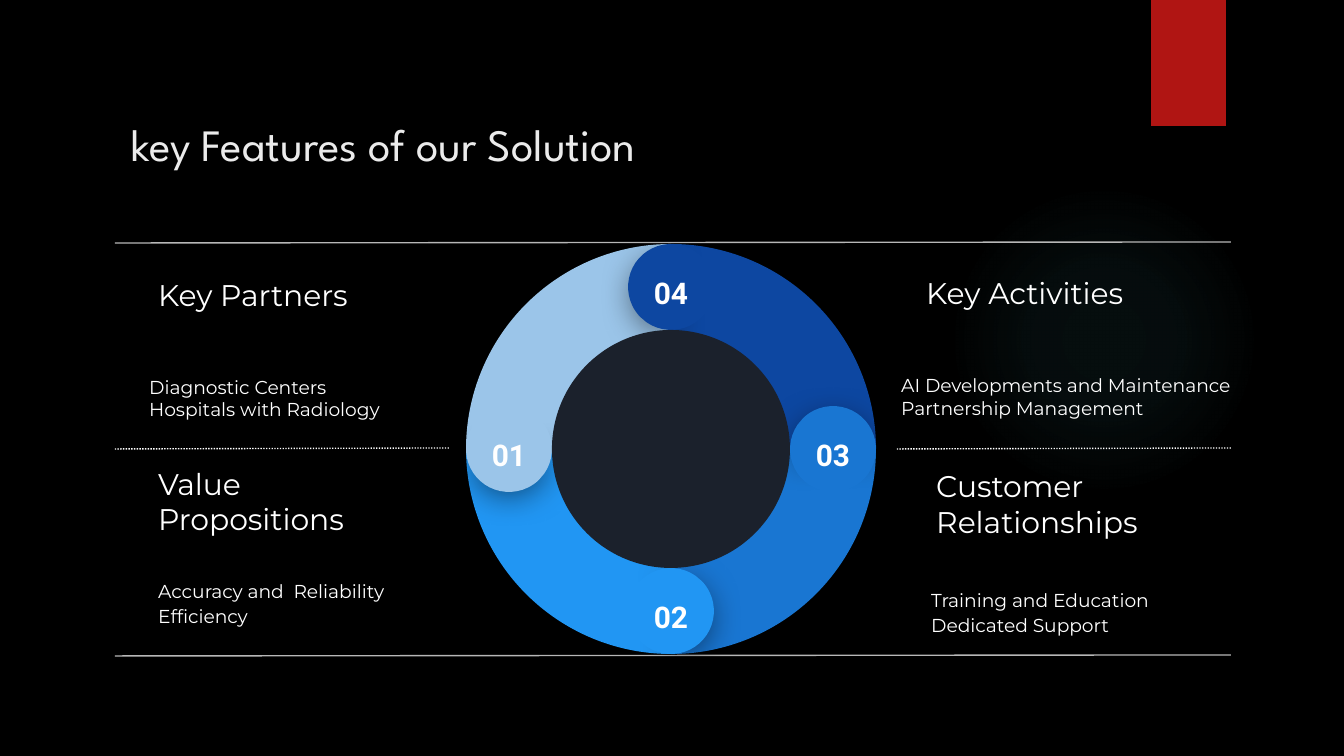
from math import cos, radians, sin

from lxml import etree
from pptx import Presentation
from pptx import util as u
from pptx.dml.color import RGBColor
from pptx.enum import dml, shapes, text
from pptx.oxml import parse_xml
from pptx.oxml.ns import nsdecls, qn

PX = 914400 / 134.4
COLORS = {
    "background": "000000", "title": "EBEBEB", "white": "FFFFFF", "rule": "B7B7B7",
    "ribbon": "B01513", "glow": "50B9C1", "hole": "1B212C",
    "sky": "9BC5E9", "navy": "0D47A1", "blue": "1976D2", "bright": "2196F3",
}
KIND = shapes.MSO_SHAPE


def px(length):
    return u.Emu(round(length * PX))


def color(name):
    return RGBColor.from_string(COLORS[name])


def add_shape(slide, kind, box, fill, rotation=0, adjustments=()):
    shape = slide.shapes.add_shape(kind, *map(px, box))
    shape.shadow.inherit = False
    shape.fill.solid()
    shape.fill.fore_color.rgb = color(fill)
    shape.line.fill.background()
    shape.rotation = rotation
    for index, value in enumerate(adjustments):
        shape.adjustments[index] = value
    return shape


def add_shadow(shape, alpha, blur, distance):
    effects = shape._element.spPr.find(qn("a:effectLst"))
    effects.append(parse_xml(
        f'<a:outerShdw {nsdecls("a")} blurRad="{u.Pt(blur)}" dist="{u.Pt(distance)}" '
        f'dir="5400000" algn="bl" rotWithShape="0"><a:srgbClr val="000000">'
        f'<a:alpha val="{alpha * 1000}"/></a:srgbClr></a:outerShdw>'))


def add_text(slide, box, lines, size, font="Montserrat", fill="white", bold=False,
             anchor=text.MSO_ANCHOR.MIDDLE, align=text.PP_ALIGN.LEFT, spacing=None):
    frame = slide.shapes.add_textbox(*map(px, box)).text_frame
    frame.word_wrap = True
    frame.vertical_anchor = anchor
    frame.margin_left = frame.margin_right = frame.margin_top = frame.margin_bottom = u.Inches(0.1)
    frame.text = lines
    for paragraph in frame.paragraphs:
        paragraph.alignment = align
        paragraph.line_spacing = spacing
        paragraph.font.size = u.Pt(size)
        paragraph.font.name = font
        paragraph.font.bold = bold
        paragraph.font.color.rgb = color(fill)


def add_rule(slide, left, right, y, fill, dotted=False):
    line = slide.shapes.add_connector(
        shapes.MSO_CONNECTOR.STRAIGHT, px(right), px(y), px(left), px(y + 1))
    line.line.color.rgb = color(fill)
    line.line.width = u.Pt(0.75)
    if dotted:
        line.line.dash_style = dml.MSO_LINE.ROUND_DOT
    etree.SubElement(line._element.spPr, qn("a:effectLst"))


def draw_backdrop(slide, width):
    slide.background.fill.solid()
    slide.background.fill.fore_color.rgb = color("background")
    # Faint round glow
    glow = add_shape(slide, KIND.OVAL, (949, 185, 310, 310), "glow")
    stops = "".join(
        f'<a:gs pos="{position}000"><a:srgbClr val="{COLORS["glow"]}">'
        f'<a:alpha val="{alpha}000"/></a:srgbClr></a:gs>'
        for position, alpha in ((0, 7), (36, 6), (69, 0), (100, 0)))
    solid = glow._element.spPr.find(qn("a:solidFill"))
    solid.getparent().replace(solid, parse_xml(
        f'<a:gradFill {nsdecls("a")}><a:gsLst>{stops}</a:gsLst><a:path path="circle">'
        '<a:fillToRect l="50000" t="50000" r="50000" b="50000"/></a:path></a:gradFill>'))
    # Ribbon at the top right
    ribbon = add_shape(slide, KIND.RECTANGLE, (width - 193, 0, 75, 126), "ribbon")
    add_shadow(ribbon, 45, 3, 2)


def draw_rules(slide, left, top, width, height):
    right, column = left + width, 334
    for y in (top, top + height):
        add_rule(slide, left, right, y, "rule")
    for start in (left, right - column):
        add_rule(slide, start, start + column, top + height // 2, "white", dotted=True)


def draw_feature(slide, left, top, heading, heading_box, detail, detail_box, spacing=None):
    for lines, size, box, gap in ((heading, 16, heading_box, None),
                                  (detail, 10, detail_box, spacing)):
        x, y, width, height = box
        add_text(slide, (left + x, top + y, width, height), lines, size, spacing=gap)


def draw_ring(slide, left, top, size):
    center_x, center_y = left + size / 2, top + size / 2
    hole = 238
    middle = (size + hole) / 4

    def centered(x, y, diameter):
        return x - diameter / 2, y - diameter / 2, diameter, diameter

    parts = (("01", "sky", 0), ("02", "bright", 270), ("03", "blue", 180), ("04", "navy", 90))
    # Quarter segments
    for _, fill, turn in parts:
        add_shape(slide, KIND.PIE, (left, top, size, size), fill, turn, (108, 162))
    # Rounded, numbered ends
    for number, fill, turn in parts:
        angle = radians(180 + turn)
        x, y = center_x + middle * cos(angle), center_y + middle * sin(angle)
        half = add_shape(slide, KIND.PIE, centered(x, y, 77), fill, 39.5 + turn, (189.54, 83.81))
        add_shadow(half, 55, 18, 4)
        add_shape(slide, KIND.CHORD, centered(x, y, 86), fill, 4.1 + turn, (25, 18.12))
        add_text(slide, (x - 38, y - 26, 76, 39), number, 16, "Roboto", bold=True,
                 anchor=text.MSO_ANCHOR.TOP, align=text.PP_ALIGN.CENTER)
    add_shape(slide, KIND.OVAL, centered(center_x, center_y, hole), "hole")


def main():
    presentation = Presentation()
    presentation.slide_width, presentation.slide_height = px(1344), px(756)
    slide = presentation.slides.add_slide(presentation.slide_layouts[6])

    draw_backdrop(slide, 1344)
    add_text(slide, (118, 103, 1035, 97), "key Features of our Solution", 24,
             "League Spartan", "title", anchor=text.MSO_ANCHOR.TOP)
    draw_rules(slide, 115, 242, 1116, 413)

    # Left column
    draw_feature(slide, 115, 242, "Key Partners", (30, 20, 273, 66),
                 "Diagnostic Centers Hospitals with Radiology", (21, 105, 293, 102))
    draw_feature(slide, 115, 448, "Value Propositions", (30, 20, 273, 66),
                 "Accuracy and  Reliability Efficiency", (30, 103, 293, 102), 1.15)
    # Right column
    draw_feature(slide, 897, 242, "Key Activities", (16, 18, 355, 66),
                 "AI Developments and Maintenance\nPartnership Management", (-9, 118, 422, 73))
    draw_feature(slide, 897, 448, "Customer Relationships", (26, 5, 273, 102),
                 "Training and Education Dedicated Support", (21, 112, 293, 102), 1.15)

    draw_ring(slide, 466, 244, 410)
    presentation.save("out.pptx")


if __name__ == "__main__":
    main()
